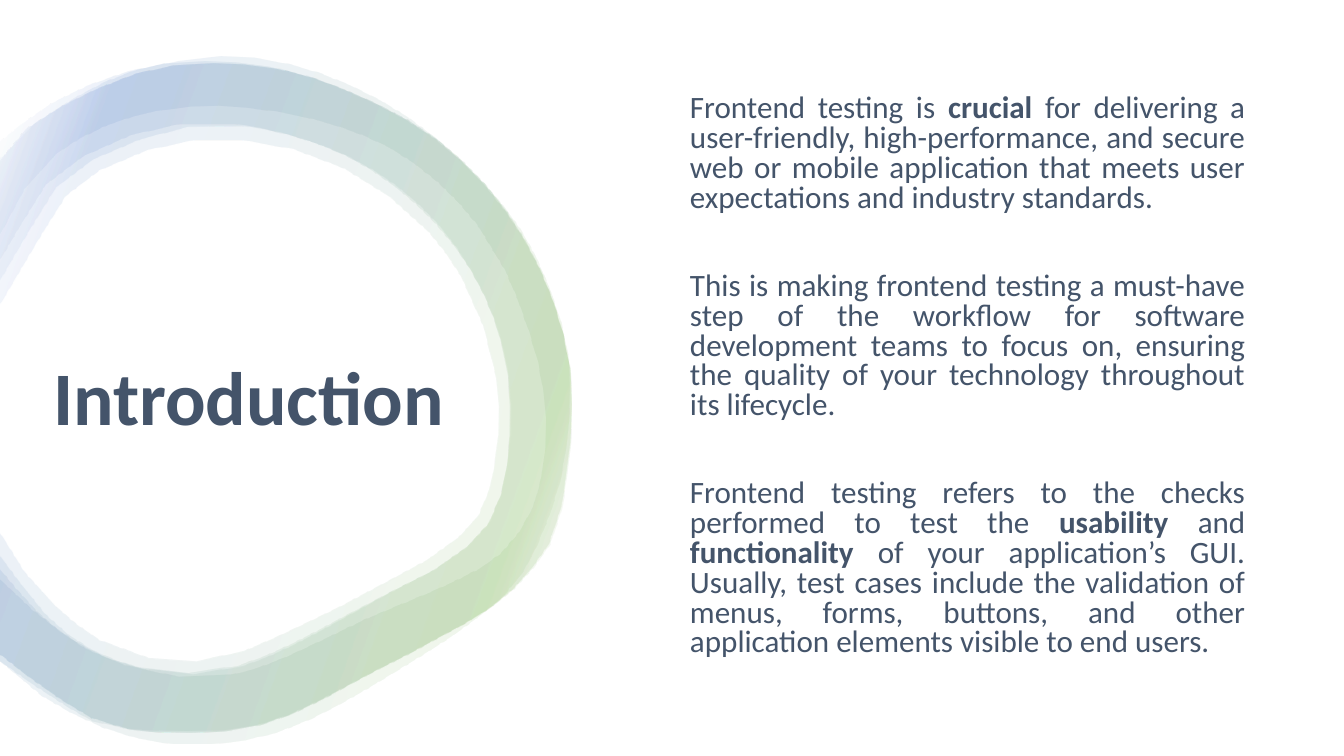
import math
import pptx
import pptx.util
import pptx.dml.color
import pptx.enum.shapes
import pptx.enum.text
import pptx.oxml
import pptx.oxml.ns

W, H = 13.33, 7.5
COLOURS = {"paper": "FFFFFF", "ink": "44546A", "green": "70AD47", "blue": "4472C4"}
Inches = pptx.util.Inches

deck = pptx.Presentation()
deck.slide_width, deck.slide_height = Inches(W), Inches(H)
slide = deck.slides.add_slide(deck.slide_layouts[6])


def write(paragraphs, left, top, width, height, *, size, align, spacing,
          first_gap=0, gap=0, bold=False):
    """Each paragraph is a list of pieces; every second piece is emphasised."""
    box = slide.shapes.add_textbox(*(Inches(v) for v in (left * W, top * H, width * W, height * H)))
    frame = box.text_frame
    frame.word_wrap = True
    frame.vertical_anchor = pptx.enum.text.MSO_ANCHOR.MIDDLE
    for index, pieces in enumerate(paragraphs):
        para = frame.add_paragraph() if index else frame.paragraphs[0]
        para.alignment, para.line_spacing = align, spacing
        para.space_before = pptx.util.Pt(gap if index else first_gap)
        for number, piece in enumerate(pieces):
            run = para.add_run()
            run.text = piece
            run.font.name, run.font.size = "Calibri", pptx.util.Pt(size)
            run.font.bold = bold or number % 2 == 1
            run.font.color.rgb = pptx.dml.color.RGBColor.from_string(COLOURS["ink"])


def smooth(knots, stride=.36):
    """Points in EMU on a Catmull-Rom curve through the knots, about a stride apart."""
    ends = [knots[0], *knots, knots[-1]]
    curve = []
    for a, b, c, d in zip(ends, ends[1:], ends[2:], ends[3:]):
        steps = max(1, round(math.dist(b, c) / stride))
        for step in range(steps):
            t = step / steps
            curve.append(tuple(Inches(
                q + t * (r - p) / 2 + t * t * (2 * p - 5 * q + 4 * r - s) / 2
                + t ** 3 * (3 * q - p - 3 * r + s) / 2) for p, q, r, s in zip(a, b, c, d)))
    return curve + [tuple(Inches(v) for v in knots[-1])]


# White backdrop
backdrop = slide.shapes.add_shape(pptx.enum.shapes.MSO_SHAPE.RECTANGLE, 0, 0, Inches(W), Inches(H))
backdrop.shadow.inherit = False
backdrop.fill.solid()
backdrop.fill.fore_color.rgb = pptx.dml.color.RGBColor.from_string(COLOURS["paper"])
backdrop.line.fill.background()

# Ring edges in inches: outer runs clockwise, inner runs back
wide_outer = [
    (0, 1.57), (.33, 1.23), (.75, .96), (1.35, .69), (2.18, .56), (2.84, .63), (3.46, .84),
    (4.04, 1.16), (4.55, 1.57), (4.99, 2.04), (5.3, 2.52), (5.56, 3.19), (5.65, 3.83),
    (5.55, 4.77), (5.18, 5.67), (4.7, 6.14), (3.92, 6.65), (3.08, 7.12),
    (2.43, 7.33), (1.71, 7.37), (1.03, 7.21), (.41, 6.89), (0, 6.55)]
wide_inner = [
    (0, 5.74), (.31, 6.03), (.76, 6.36), (1.25, 6.59), (1.77, 6.7), (2.29, 6.68), (2.82, 6.51),
    (3.62, 6.13), (4.47, 5.77), (4.96, 5.48), (5.28, 5.02), (5.4, 4.44), (5.38, 3.85),
    (5.24, 3.28), (5, 2.67), (4.73, 2.23), (4.33, 1.8), (3.85, 1.46), (3.31, 1.24),
    (2.75, 1.11), (2.17, 1.05), (1.61, 1.09), (1.06, 1.24), (.56, 1.52), (.24, 1.87), (0, 2.32)]
round_outer = [
    (0, 1.4), (.51, 1.02), (1.25, .71), (2.02, .61), (3.03, .75), (4.29, 1.37), (5.18, 2.37),
    (5.64, 3.65), (5.56, 5.04), (5.28, 5.62), (4.85, 6.02), (4.32, 6.32), (3.73, 6.63),
    (2.54, 7.18), (1.22, 7.21), (.68, 7.01), (0, 6.55)]
round_inner = [
    (0, 5.64), (.37, 6.06), (.84, 6.42), (1.38, 6.61), (1.86, 6.66), (2.35, 6.59), (2.89, 6.37),
    (3.42, 6.09), (3.88, 5.85), (4.28, 5.65), (4.62, 5.41), (4.83, 5.18), (4.96, 4.88),
    (5.04, 4.31), (5.02, 3.73), (4.89, 3.18), (4.65, 2.67), (4.31, 2.22), (3.89, 1.84),
    (3.41, 1.54), (2.87, 1.34), (2.32, 1.23), (1.78, 1.23), (1.29, 1.34), (.82, 1.55),
    (.45, 1.83), (.2, 2.23), (0, 2.57)]
shared_outer = [
    (0, 1.6), (.26, 1.28), (.62, 1.05), (1.35, .73), (2.11, .63), (3.1, .77), (4.33, 1.38),
    (5.2, 2.37), (5.65, 3.65), (5.56, 5.04), (5.28, 5.62), (4.86, 6.02), (4.33, 6.33),
    (3.76, 6.63), (2.57, 7.19), (1.29, 7.23), (.62, 6.94), (0, 6.48)]
thick_inner = [
    (0, 5.27), (.25, 5.67), (.55, 6), (.99, 6.34), (1.48, 6.52), (1.95, 6.55), (2.42, 6.45),
    (3.39, 6), (3.86, 5.75), (4.23, 5.55), (4.55, 5.32), (4.74, 5.11), (4.85, 4.85),
    (4.94, 4.3), (4.92, 3.75), (4.79, 3.23), (4.57, 2.74), (4.25, 2.3), (3.86, 1.95),
    (3.41, 1.67), (2.91, 1.48), (2.4, 1.39), (1.93, 1.39), (1.46, 1.49), (.99, 1.69),
    (.66, 1.94), (.42, 2.32), (0, 3.03)]
thin_inner = [
    (0, 5.5), (.46, 6.09), (.92, 6.44), (1.45, 6.63), (1.92, 6.68), (2.41, 6.6), (2.93, 6.38),
    (3.45, 6.1), (3.91, 5.85), (4.3, 5.65), (4.63, 5.42), (4.85, 5.18), (4.97, 4.88),
    (5.06, 4.31), (5.04, 3.73), (4.91, 3.19), (4.67, 2.68), (4.35, 2.23), (3.94, 1.85),
    (3.47, 1.56), (2.94, 1.36), (2.4, 1.25), (1.87, 1.26), (1.4, 1.38), (.93, 1.58),
    (.56, 1.86), (.31, 2.26), (0, 2.79)]

# Four translucent rings, each fading from green to blue
stops = "".join(
    f'<a:gs pos="{place * 1000}"><a:srgbClr val="{COLOURS[name]}"><a:alpha val="10000"/></a:srgbClr></a:gs>'
    for place, name in ((2, "paper"), (16, "green"), (85, "blue"), (100, "paper")))
fade = (f'<a:gradFill {pptx.oxml.ns.nsdecls("a")} rotWithShape="1"><a:gsLst>{stops}</a:gsLst>'
        f'<a:lin ang="{200 * 60000}" scaled="0"/></a:gradFill>')
for outer, inner in ((wide_outer, wide_inner), (round_outer, round_inner),
                     (shared_outer, thick_inner), (shared_outer, thin_inner)):
    outline = smooth(outer) + smooth(inner)
    builder = slide.shapes.build_freeform(*outline[0])
    builder.add_line_segments(outline[1:], close=True)
    ring = builder.convert_to_shape()
    ring.shadow.inherit = False
    ring.line.fill.background()
    ring.fill.background()
    no_fill = ring.element.spPr.find("{*}noFill")
    ring.element.spPr.replace(no_fill, pptx.oxml.parse_xml(fade))

# Title inside the ring
write([["Introduction"]], 0, .21, .37, .64, size=54, bold=True, spacing=.9,
      align=pptx.enum.text.PP_ALIGN.CENTER)

# Body text
write([
    ["Frontend testing is ", "crucial",
     " for delivering a user-friendly, high-performance, and secure web or mobile application "
     "that meets user expectations and industry standards."],
    ["This is making frontend testing a must-have step of the workflow for software development "
     "teams to focus on, ensuring the quality of your technology throughout its lifecycle."],
    ["Frontend testing refers to the checks performed to test the ", "usability", " and ",
     "functionality",
     " of your application’s GUI. Usually, test cases include the validation of menus, forms, "
     "buttons, and other application elements visible to end users."],
], .506, .117, .428, .763, size=22.2, spacing=.8, first_gap=10, gap=41.5,
    align=pptx.enum.text.PP_ALIGN.JUSTIFY)

deck.save("out.pptx")
